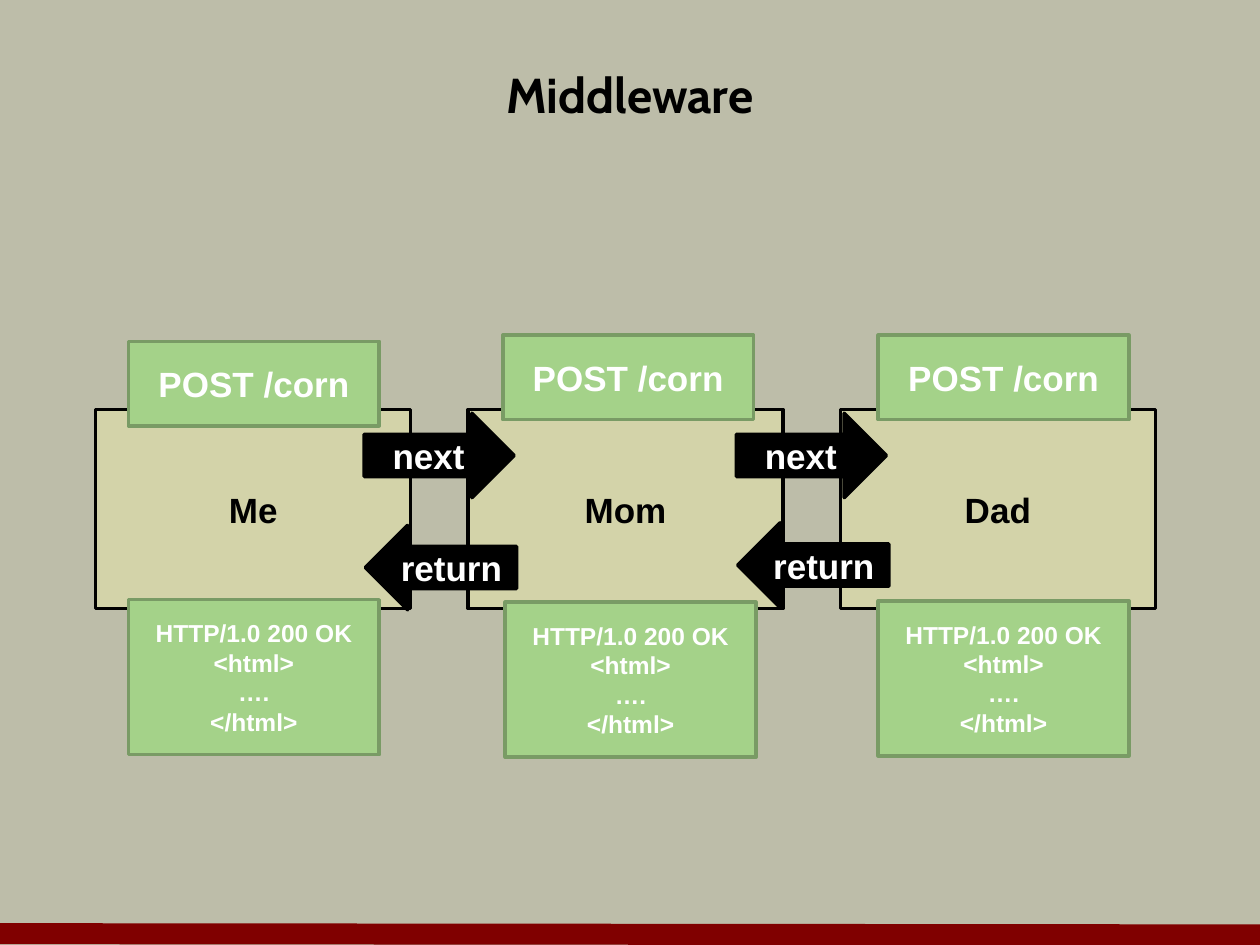
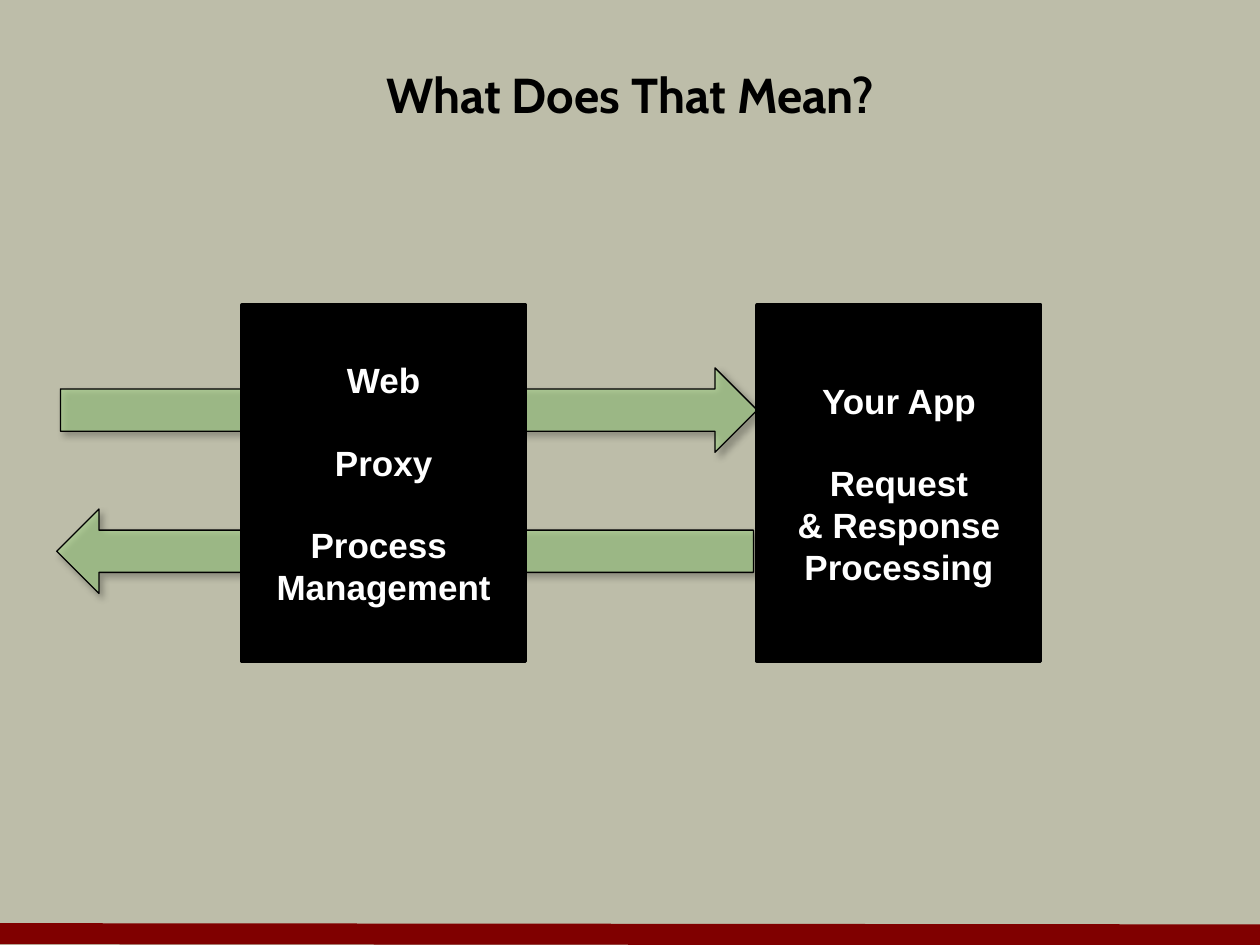
from dataclasses import dataclass

from lxml.etree import SubElement
from pptx import Presentation
from pptx.dml.color import RGBColor
from pptx.enum.shapes import MSO_CONNECTOR, MSO_SHAPE
from pptx.enum.text import MSO_ANCHOR, PP_ALIGN
from pptx.oxml.ns import qn
from pptx.util import Inches, Pt


@dataclass(frozen=True)
class Theme:
    background: str = "BDBDA9"
    band: str = "800000"
    black: str = "000000"
    white: str = "FFFFFF"
    stage: str = "D3D3A9"
    message: str = "A4D289"
    message_edge: str = "799B65"
    title_font: str = "Cabin"
    body_font: str = "Arial"
    title_size: int = 28
    label_size: int = 20
    code_size: int = 14
    band_width: int = 12
    edge_width: int = 2
    flow_edge_width: float = 0.75
    flow_opacity: int = 60
    shadow_opacity: int = 40


THEME = Theme()
RESPONSE = ["HTTP/1.0 200 OK", "<html>", "….", "</html>"]


def rgb(color):
    return RGBColor.from_string(color)


def write_lines(frame, lines, color, size, font=THEME.body_font, gaps=(), wrap=False):
    frame.word_wrap = wrap
    frame.vertical_anchor = MSO_ANCHOR.MIDDLE
    style = {"name": font, "size": Pt(size), "bold": True}
    for index, line in enumerate(lines):
        paragraph = frame.add_paragraph() if index else frame.paragraphs[0]
        paragraph.alignment = PP_ALIGN.CENTER
        if index in gaps:
            paragraph.space_before = Pt(size * 1.15)
        run = paragraph.add_run()
        run.text = line
        for attribute, value in style.items():
            setattr(run.font, attribute, value)
        run.font.color.rgb = rgb(color)


def add_figure(slide, kind, box, fill, edge, edge_width=THEME.edge_width):
    figure = slide.shapes.add_shape(kind, *map(Inches, box))
    figure.shadow.inherit = False
    figure.fill.solid()
    figure.fill.fore_color.rgb = rgb(fill)
    figure.line.color.rgb = rgb(edge)
    figure.line.width = Pt(edge_width)
    return figure


def add_labelled(slide, kind, box, lines, fill, edge, color,
                 size=THEME.label_size, gaps=()):
    figure = add_figure(slide, kind, box, fill, edge)
    write_lines(figure.text_frame, lines, color, size, gaps=gaps)


def add_message(slide, box, lines, size):
    add_labelled(slide, MSO_SHAPE.RECTANGLE, box, lines,
                 THEME.message, THEME.message_edge, THEME.white, size)


def add_black(slide, kind, box, lines, gaps=()):
    add_labelled(slide, kind, box, lines, THEME.black, THEME.black, THEME.white, gaps=gaps)


def add_alpha(color, percent):
    SubElement(color, qn("a:alpha"), val=str(percent * 1000))


def add_flow(slide, left, top, rotation=0):
    flow = add_figure(slide, MSO_SHAPE.RIGHT_ARROW, (left, top, 5.53, 0.67),
                      THEME.message, THEME.black, THEME.flow_edge_width)
    flow.rotation = rotation
    properties = flow.element.spPr
    add_alpha(properties.find(qn("a:solidFill")).find(qn("a:srgbClr")), THEME.flow_opacity)
    shadow = SubElement(properties.find(qn("a:effectLst")), qn("a:outerShdw"),
                        blurRad=str(Pt(4)), dist=str(Pt(3)),
                        dir=str(45 * 60000), rotWithShape="0")
    add_alpha(SubElement(shadow, qn("a:srgbClr"), val=THEME.black), THEME.shadow_opacity)


def add_band(slide):
    band = slide.shapes.add_connector(
        MSO_CONNECTOR.STRAIGHT, *map(Inches, (0, 7.41, 10, 7.42)))
    band.line.color.rgb = rgb(THEME.band)
    band.line.width = Pt(THEME.band_width)
    SubElement(band.element.spPr, qn("a:effectLst"))


def add_titled_slide(deck, title):
    slide = deck.slides.add_slide(deck.slide_layouts[6])
    add_band(slide)
    heading = slide.shapes.add_textbox(*map(Inches, (0.5, 0.33, 9, 0.83)))
    write_lines(heading.text_frame, [title], THEME.black, THEME.title_size,
                THEME.title_font, wrap=True)
    return slide


def build_middleware(deck):
    slide = add_titled_slide(deck, "Middleware")
    pitch = 2.955
    for index, person in enumerate(["Me", "Mom", "Dad"]):
        add_labelled(slide, MSO_SHAPE.RECTANGLE, (0.76 + index * pitch, 3.25, 2.5, 1.58),
                     [person], THEME.stage, THEME.black, THEME.black)
    for index, return_top in enumerate([4.17, 4.15]):
        shift = index * pitch
        add_black(slide, MSO_SHAPE.RIGHT_ARROW, (2.89 + shift, 3.28, 1.19, 0.67), ["next"])
        add_black(slide, MSO_SHAPE.LEFT_ARROW, (2.9 + shift, return_top, 1.2, 0.67), ["return"])
    for left, top in [(1.02, 2.71), (3.99, 2.66), (6.97, 2.66)]:
        add_message(slide, (left, top, 1.99, 0.67), ["POST /corn"], THEME.label_size)
    for left, top in [(1.02, 4.76), (4.01, 4.78), (6.97, 4.77)]:
        add_message(slide, (left, top, 1.99, 1.23), RESPONSE, THEME.code_size)


def build_meaning(deck):
    slide = add_titled_slide(deck, "What Does That Mean?")
    add_flow(slide, 0.45, 4.04, rotation=180)
    add_flow(slide, 0.48, 2.92)
    components = [
        (1.92, ["Web", "Proxy", "Process ", "Management"], (1, 2)),
        (6.01, ["Your App", "Request", "& Response", "Processing"], (1,)),
    ]
    for left, lines, gaps in components:
        add_black(slide, MSO_SHAPE.RECTANGLE, (left, 2.42, 2.25, 2.83), lines, gaps)


def main():
    deck = Presentation()
    deck.slide_width = Inches(10)
    deck.slide_height = Inches(7.5)
    backdrop = deck.slide_master.background.fill
    backdrop.solid()
    backdrop.fore_color.rgb = rgb(THEME.background)
    build_middleware(deck)
    build_meaning(deck)
    deck.save("out.pptx")


if __name__ == "__main__":
    main()
